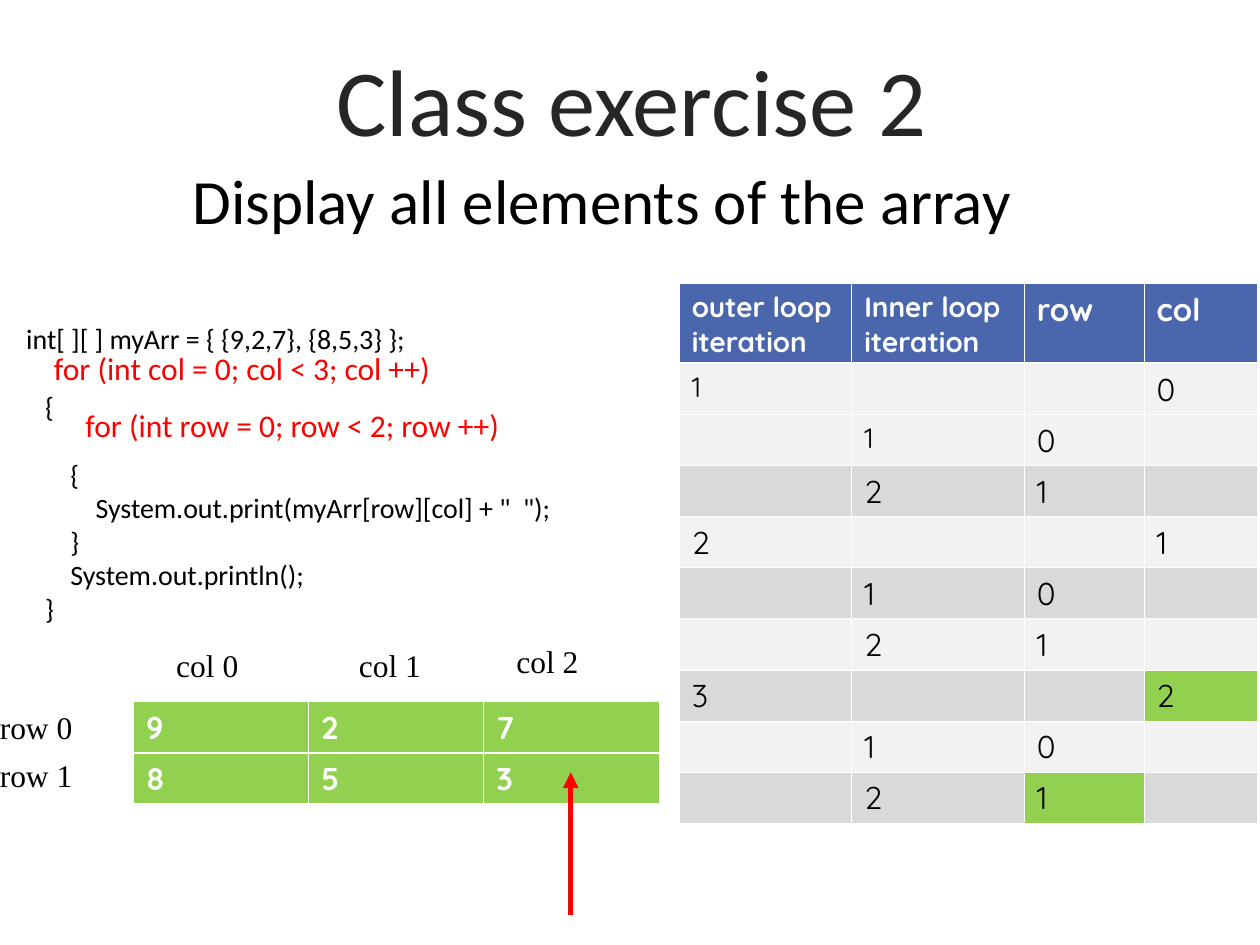
from lxml.etree import SubElement
from pptx import Presentation
from pptx.dml.color import RGBColor
from pptx.enum.shapes import MSO_CONNECTOR
from pptx.enum.text import MSO_ANCHOR, PP_ALIGN
from pptx.oxml.ns import qn
from pptx.util import Inches, Pt

COLORS = {
    "title": "262626", "text": "000000", "white": "FFFFFF", "red": "FF0000",
    "header": "4A66AC", "green": "92D050", "light": "F2F2F2", "dark": "D9D9D9",
}
STYLES = {
    "title": {"name": "Calibri", "size": Pt(54), "color": "title"},
    "subtitle": {"name": "Calibri", "size": Pt(36), "color": "text"},
    "code": {"name": "Calibri", "size": Pt(16), "color": "text"},
    "loop": {"name": "Calibri", "size": Pt(18), "color": "red"},
    "label": {"name": "Times New Roman", "size": Pt(18), "color": "text"},
    "head": {"name": "Quicksand", "size": Pt(18), "color": "white", "bold": True},
    "small head": {"name": "Quicksand", "size": Pt(16), "color": "white", "bold": True},
    "cell": {"name": "Quicksand", "size": Pt(18), "color": "text", "bold": False},
    "small cell": {"name": "Quicksand", "size": Pt(16), "color": "text", "bold": False},
}
CODE = [
    ("  int[ ][ ] myArr = { {9,2,7}, {8,5,3} };", 0),
    ("     {", 19.5),
    ("         {", 19.5),
    ('             System.out.print(myArr[row][col] + "  ");', 0),
    ("         }", 0),
    ("         System.out.println();", 0),
    ("     }", 0),
]
ARRAY = [["9", "2", "7"], ["8", "5", "3"]]
TRACE = [
    ["outer loop iteration", "Inner loop iteration", "row", "col"],
    ["1", "", "", "0"],
    ["", "1", "0", ""],
    ["", "2", "1", ""],
    ["2", "", "", "1"],
    ["", "1", "0", ""],
    ["", "2", "1", ""],
    ["3", "", "", "2"],
    ["", "1", "0", ""],
    ["", "2", "1", ""],
]
CURRENT_CELLS = {(7, 3), (9, 2)}
SMALL_CELLS = {(1, 0), (2, 1)}


def rgb(name):
    return RGBColor.from_string(COLORS[name])


def add_span(para, text, style):
    span = para.add_run()
    span.text = text
    for key, value in STYLES[style].items():
        if key == "color":
            span.font.color.rgb = rgb(value)
        else:
            setattr(span.font, key, value)


def add_text(page, box, text, style):
    frame = page.shapes.add_textbox(*map(Inches, box)).text_frame
    frame.word_wrap = True
    add_span(frame.paragraphs[0], text, style)


def add_title(page, box):
    title = page.shapes.title
    title.left, title.top, title.width, title.height = map(Inches, box)
    frame = title.text_frame
    frame.vertical_anchor = MSO_ANCHOR.TOP
    para = frame.paragraphs[0]
    para.alignment = PP_ALIGN.CENTER
    add_span(para, "Class exercise 2", "title")


def add_code(page, box):
    frame = page.shapes.add_textbox(*map(Inches, box)).text_frame
    frame.word_wrap = True
    frame.vertical_anchor = MSO_ANCHOR.BOTTOM
    frame.margin_bottom = Inches(0.01)
    for index, (line, gap) in enumerate(CODE):
        para = frame.add_paragraph() if index else frame.paragraphs[0]
        if gap:
            para.space_before = Pt(gap)
        add_span(para, line, "code")
    left, top = box[:2]
    add_text(page, (left + 0.32, top + 0.52, 3.46, 1),
             "for (int col = 0; col < 3; col ++)", "loop")
    add_text(page, (left + 0.57, top + 0.97, 3.78, 1),
             "for (int row = 0; row < 2; row ++)", "loop")


def set_borders(cell, row):
    thick = {0: "lnB", 1: "lnT"}.get(row)
    properties = cell._tc.get_or_add_tcPr()
    for position, side in enumerate(("lnL", "lnR", "lnT", "lnB")):
        width = Pt(1.47 if side == thick else 0.45)
        line = SubElement(properties, qn(f"a:{side}"), w=str(int(width)))
        fill = SubElement(line, qn("a:solidFill"))
        SubElement(fill, qn("a:srgbClr"), val=COLORS["white"])
        properties.insert(position, line)


def add_grid(page, box, values, widths, heights, choose_format):
    table = page.shapes.add_table(len(values), len(widths), *map(Inches, box)).table
    table.first_row = table.horz_banding = False
    for column, width in zip(table.columns, widths):
        column.width = Inches(width)
    for row, height in zip(table.rows, heights):
        row.height = Inches(height)
    for row, texts in enumerate(values):
        for column, text in enumerate(texts):
            cell = table.cell(row, column)
            fill, style = choose_format(row, column)
            cell.fill.solid()
            cell.fill.fore_color.rgb = rgb(fill)
            set_borders(cell, row)
            if text:
                add_span(cell.text_frame.paragraphs[0], text, style)


def trace_format(row, column):
    if row == 0:
        return "header", "small head" if column < 2 else "head"
    style = "small cell" if (row, column) in SMALL_CELLS else "cell"
    if (row, column) in CURRENT_CELLS:
        return "green", style
    return "light" if row in (1, 2, 4, 6, 8) else "dark", style


def add_array(page, box):
    left, top, width, height = box
    add_grid(page, box, ARRAY, [width / 3] * 3, [height / 2] * 2,
             lambda row, column: ("green", "head"))
    for index in range(2):
        add_text(page, (left - 1.16, top + 0.38 * index, 0.92, 0.4),
                 f"row {index}", "label")
    for index, (across, up) in enumerate([(0.24, 0.49), (1.69, 0.49), (2.94, 0.52)]):
        add_text(page, (left + across, top - up, 0.92, 0.4), f"col {index}", "label")


def add_pointer(page, x, start, end):
    arrow = page.shapes.add_connector(
        MSO_CONNECTOR.STRAIGHT, Inches(x), Inches(start), Inches(x), Inches(end))
    arrow.line.color.rgb = rgb("red")
    arrow.line.width = Pt(3)
    SubElement(arrow.line._get_or_add_ln(), qn("a:tailEnd"), type="triangle")
    SubElement(arrow._element.spPr, qn("a:effectLst"))


def main():
    deck = Presentation()
    deck.slide_width, deck.slide_height = Inches(10), Inches(7.5)
    page = deck.slides.add_slide(deck.slide_layouts[5])
    add_title(page, (0.51, 0.28, 9, 0.95))
    add_code(page, (0.01, 2.2, 5.22, 2.77))
    add_text(page, (1.43, 1.23, 7.17, 1.3), "Display all elements of the array", "subtitle")
    add_array(page, (1.06, 5.57, 4.17, 0.81))
    add_grid(page, (5.39, 2.25, 4.59, 4.28), TRACE, [1.37, 1.37, 0.95, 0.9],
             [0.63] + [3.65 / 9] * 9, trace_format)
    add_pointer(page, 4.53, 7.26, 6.13)
    deck.save("out.pptx")


if __name__ == "__main__":
    main()
